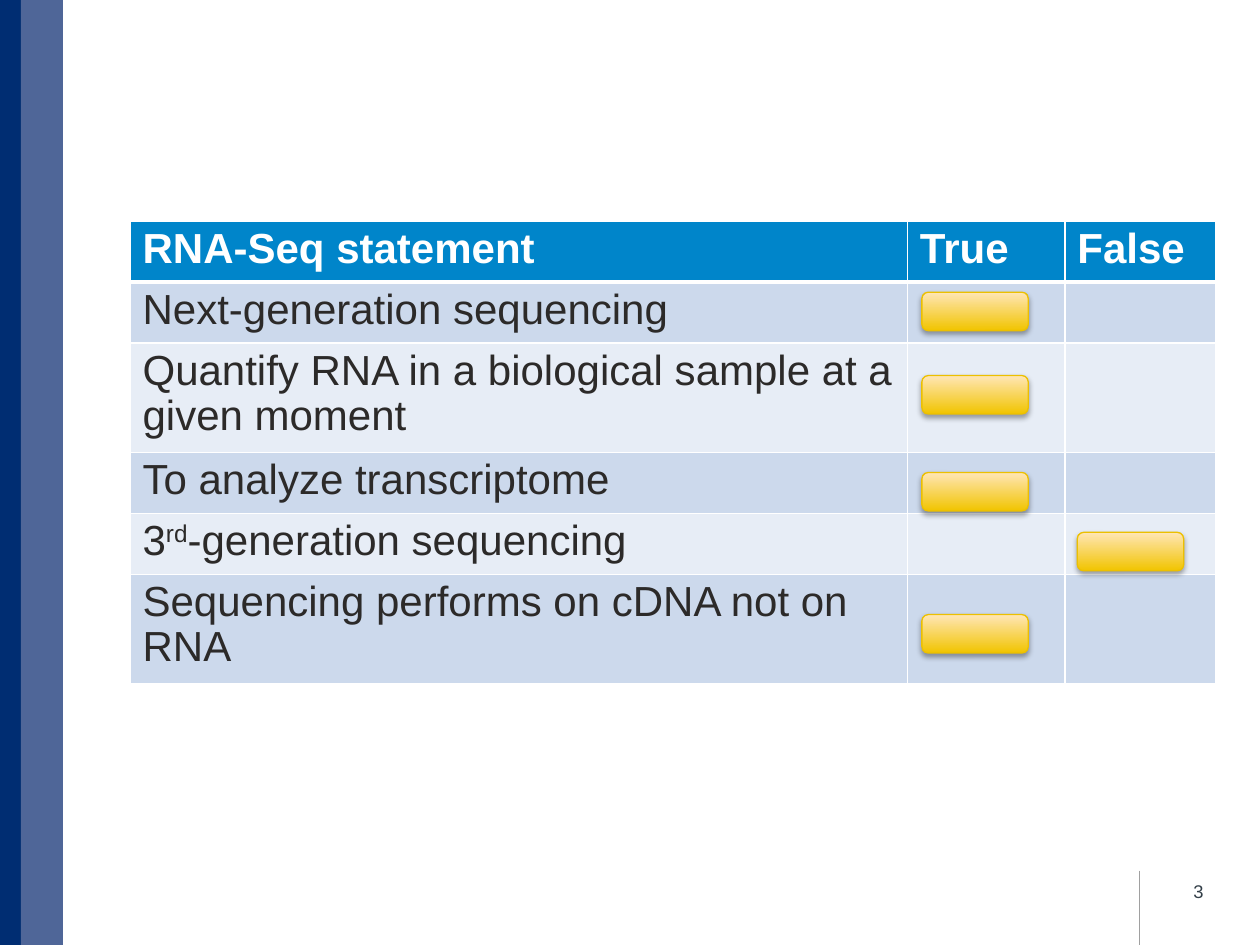
from lxml import etree
from pptx import Presentation
from pptx.dml.color import RGBColor
from pptx.enum.shapes import MSO_CONNECTOR, MSO_SHAPE
from pptx.enum.text import MSO_ANCHOR, PP_ALIGN
from pptx.oxml import parse_xml
from pptx.oxml.ns import nsdecls, qn
from pptx.util import Pt

RECT = MSO_SHAPE.RECTANGLE
BUTTON = MSO_SHAPE.FLOWCHART_ALTERNATE_PROCESS
STRAIGHT = MSO_CONNECTOR.STRAIGHT
MIDDLE = MSO_ANCHOR.MIDDLE
RIGHT = PP_ALIGN.RIGHT

COLORS = {
    "navy": "002D72", "slate": "4F6698", "rule": "A0A0A0",
    "header": "0085CA", "band_dark": "CCD9EC", "band_light": "E7EDF6",
    "white": "FFFFFF", "text": "2C2A29", "number": "333F48",
    "gold": "F1C400", "cream": "FFE6B6", "gold_line": "ECC000",
}
HEADER_FONT = {"name": "Arial", "size": Pt(24), "bold": True}
BODY_FONT = {"name": "Arial", "size": Pt(24), "bold": False}
NUMBER_FONT = {"name": "Arial", "size": Pt(10.5)}

COLUMN_WIDTHS = [444.2, 90, 86.4]
ROW_HEIGHT = 29.5
HEADINGS = ["RNA-Seq statement", "True", "False"]
STATEMENTS = [
    [("Next-generation sequencing", 0)],
    [("Quantify RNA in a biological sample at a given moment", 0)],
    [("To analyze transcriptome", 0)],
    [("3", 0), ("rd", 30000), ("-generation sequencing", 0)],
    [("Sequencing performs on cDNA not on RNA", 0)],
]
TRUE_X, FALSE_X = 526.8, 615.6
ANSWERS = [(TRUE_X, 167), (TRUE_X, 214.6), (TRUE_X, 270),
           (FALSE_X, 304.2), (TRUE_X, 351.2)]


def rgb(name):
    return RGBColor.from_string(COLORS[name])


def add_run(p, text, fmt, color, baseline=0):
    r = p.add_run()
    r.text = text
    for key, value in fmt.items():
        setattr(r.font, key, value)
    r.font.color.rgb = rgb(color)
    if baseline:
        r.font._element.set("baseline", str(baseline))


def add_bar(s, x, width, color):
    sp = s.shapes.add_shape(RECT, Pt(x), 0, Pt(width), Pt(540))
    sp.shadow.inherit = False
    sp.fill.solid()
    sp.fill.fore_color.rgb = rgb(color)
    sp.line.fill.background()


def add_rule(s, x, top, bottom):
    line = s.shapes.add_connector(STRAIGHT, Pt(x), Pt(top), Pt(x), Pt(bottom))
    line.line.color.rgb = rgb("rule")
    line.line.width = Pt(0.25)
    etree.SubElement(line._element.spPr, qn("a:effectLst"))


def add_page_number(s, text):
    tf = s.shapes.add_textbox(Pt(527), Pt(494.6), Pt(167.8), Pt(28.8)).text_frame
    tf.word_wrap = True
    tf.vertical_anchor = MIDDLE
    p = tf.paragraphs[0]
    p.alignment = RIGHT
    add_run(p, text, NUMBER_FONT, "number")


def set_borders(cell, top, bottom):
    tcPr = cell._tc.get_or_add_tcPr()
    widths = {"lnL": 1, "lnR": 1, "lnT": top, "lnB": bottom}
    for i, (tag, width) in enumerate(widths.items()):
        tcPr.insert(i, parse_xml(
            f'<a:{tag} {nsdecls("a")} w="{Pt(width)}"><a:solidFill>'
            f'<a:srgbClr val="{COLORS["white"]}"/></a:solidFill></a:{tag}>'))


def fill_cell(cell, runs, fmt, color, fill, top, bottom):
    cell.fill.solid()
    cell.fill.fore_color.rgb = rgb(fill)
    set_borders(cell, top, bottom)
    p = cell.text_frame.paragraphs[0]
    if runs:
        p.line_spacing = 0.96
    for text, baseline in runs:
        add_run(p, text, fmt, color, baseline)


def add_statement_table(s):
    rows = len(STATEMENTS) + 1
    frame = s.shapes.add_table(rows, len(HEADINGS), Pt(74.3), Pt(126.2),
                               Pt(sum(COLUMN_WIDTHS)), Pt(ROW_HEIGHT * rows))
    table = frame.table
    for column, width in zip(table.columns, COLUMN_WIDTHS):
        column.width = Pt(width)
    for cell, heading in zip(table.rows[0].cells, HEADINGS):
        fill_cell(cell, [(heading, 0)], HEADER_FONT, "white", "header", 1, 3)
    for i, statement in enumerate(STATEMENTS, 1):
        band = "band_dark" if i % 2 else "band_light"
        for j, cell in enumerate(table.rows[i].cells):
            fill_cell(cell, [] if j else statement, BODY_FONT, "text", band,
                      3 if i == 1 else 1, 1)


def add_answer(s, x, y):
    sp = s.shapes.add_shape(BUTTON, Pt(x), Pt(y), Pt(60.8), Pt(22))
    sp.fill.gradient()
    sp.fill.gradient_angle = 90
    for stop, color in zip(sp.fill.gradient_stops, ("gold", "cream")):
        stop.color.rgb = rgb(color)
    for stop, position in zip(sp.fill.gradient_stops, (0, 1)):
        stop.position = position
    sp.line.color.rgb = rgb("gold_line")
    sp.line.width = Pt(0.75)
    sp._element.spPr.append(parse_xml(
        f'<a:effectLst {nsdecls("a")}><a:outerShdw blurRad="{Pt(3.1)}" '
        f'dist="{Pt(1.8)}" dir="5400000" rotWithShape="0">'
        '<a:srgbClr val="000000"><a:alpha val="35000"/></a:srgbClr>'
        '</a:outerShdw></a:effectLst>'))


def main():
    prs = Presentation()
    prs.slide_width, prs.slide_height = Pt(720), Pt(540)
    s = prs.slides.add_slide(prs.slide_layouts[6])
    add_rule(s, 651, 497.5, 540)
    add_bar(s, 0, 12, "navy")
    add_bar(s, 12, 24, "slate")
    add_page_number(s, "3")
    add_statement_table(s)
    for x, y in ANSWERS:
        add_answer(s, x, y)
    prs.save("out.pptx")


if __name__ == "__main__":
    main()
